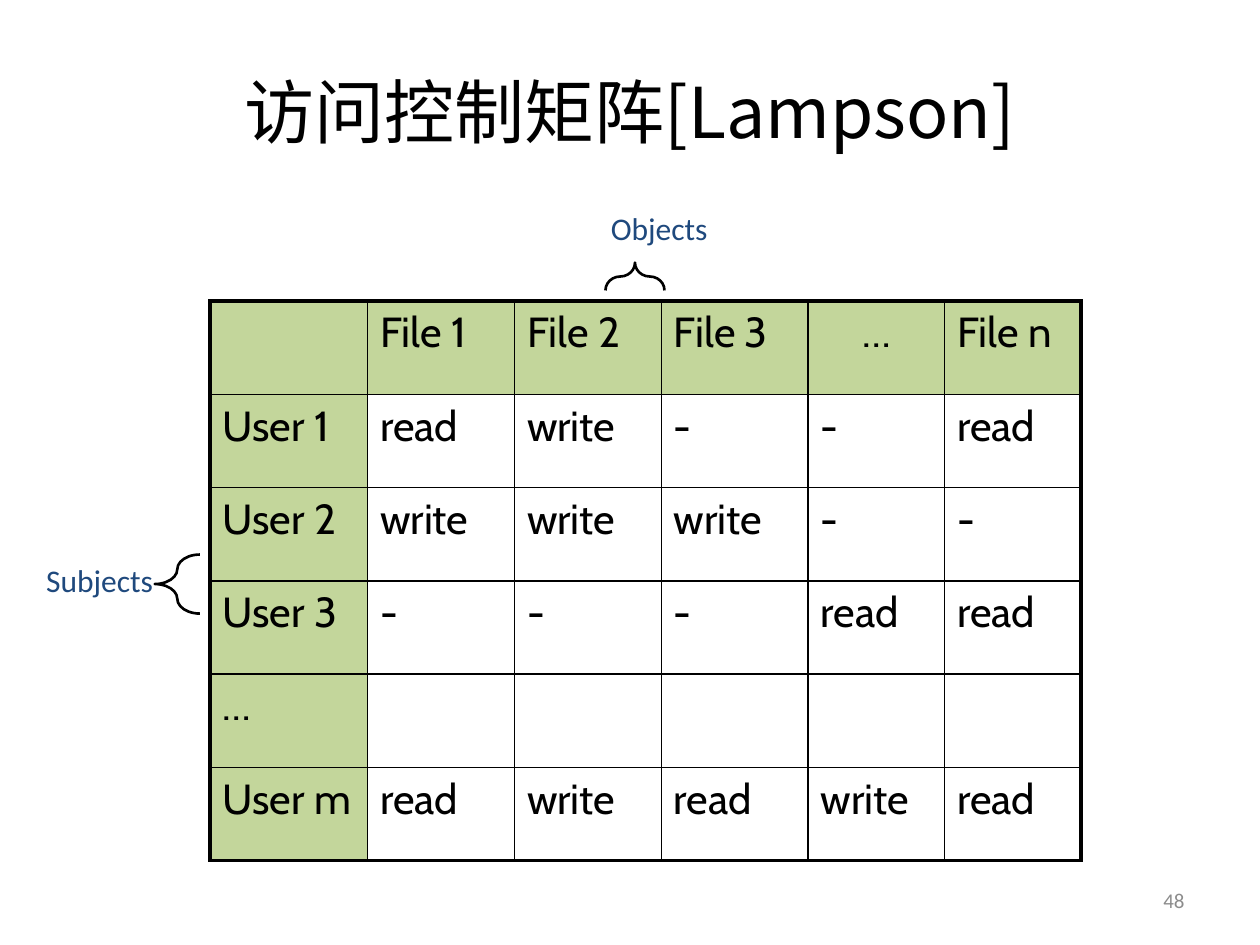
import pptx
import pptx.util
import pptx.dml.color
import pptx.enum.shapes
import pptx.enum.text
import pptx.oxml
import pptx.oxml.ns

Cm = pptx.util.Cm
Pt = pptx.util.Pt
RGBColor = pptx.dml.color.RGBColor
PP_ALIGN = pptx.enum.text.PP_ALIGN
MSO_ANCHOR = pptx.enum.text.MSO_ANCHOR

BLACK = RGBColor(0x00, 0x00, 0x00)
GREEN = RGBColor(0xC3, 0xD6, 0x9B)
BLUE = RGBColor(0x1F, 0x49, 0x7D)
GREY = RGBColor(0x8C, 0x8C, 0x8C)

TITLE = "访问控制矩阵[Lampson]"
TITLE_FONT = "Noto Sans CJK SC"
MATRIX = [
    ["", "File 1", "File 2", "File 3", "…", "File n"],
    ["User 1", "read", "write", "-", "-", "read"],
    ["User 2", "write", "write", "write", "-", "-"],
    ["User 3", "-", "-", "-", "read", "read"],
    ["…", "", "", "", "", ""],
    ["User m", "read", "write", "read", "write", "read"],
]
COL_WIDTHS = [3.18, 2.96, 2.96, 2.96, 2.75, 2.75]
ROW_HEIGHT = 1.88
THIN, THICK = 1, 2.25

# text, left, top, width, height, size, colour, alignment
LABELS = [
    ("Subjects", 0.31, 11.04, 3.4, 1.3, 18, BLUE, PP_ALIGN.CENTER),
    ("Objects", 11.59, 3.95, 3.4, 1.3, 18, BLUE, PP_ALIGN.CENTER),
    ("48", 18.2, 17.65, 5.93, 1.01, 12, GREY, PP_ALIGN.RIGHT),
]
# left, top, width, height, rotation, curve
BRACES = [
    (3.12, 11.18, 0.91, 1.19, 0, 2.22),
    (12.52, 4.98, 0.56, 1.19, 90, 3.46),
]


def style(p, font, size, color, align=PP_ALIGN.LEFT):
    p.alignment = align
    for r in p.runs:
        r.font.name = font
        r.font.size = Pt(size)
        r.font.color.rgb = color


def add_border(cell, side, width):
    tc_pr = cell._tc.get_or_add_tcPr()
    tc_pr.append(pptx.oxml.parse_xml(
        f'<a:ln{side} {pptx.oxml.ns.nsdecls("a")} w="{Pt(width)}">'
        f'<a:solidFill><a:srgbClr val="{BLACK}"/></a:solidFill></a:ln{side}>'))


def add_title(s):
    sp = s.shapes.title
    sp.left, sp.top, sp.width, sp.height = Cm(1.27), Cm(0.64), Cm(22.86), Cm(3.18)
    tf = sp.text_frame
    tf.text = TITLE
    tf.vertical_anchor = MSO_ANCHOR.MIDDLE
    p = tf.paragraphs[0]
    style(p, TITLE_FONT, 40, BLACK, PP_ALIGN.CENTER)
    p.runs[0].font._element.append(pptx.oxml.parse_xml(
        f'<a:ea {pptx.oxml.ns.nsdecls("a")} typeface="{TITLE_FONT}"/>'))


def add_matrix(s):
    n_rows, n_cols = len(MATRIX), len(COL_WIDTHS)
    table = s.shapes.add_table(n_rows, n_cols, Cm(4.23), Cm(6.07),
                               Cm(sum(COL_WIDTHS)), Cm(ROW_HEIGHT * n_rows)).table
    table.first_row = table.horz_banding = False
    for column, width in zip(table.columns, COL_WIDTHS):
        column.width = Cm(width)
    for i, texts in enumerate(MATRIX):
        table.rows[i].height = Cm(ROW_HEIGHT)
        for j, text in enumerate(texts):
            cell = table.cell(i, j)
            edges = {"L": j == 0, "R": j == n_cols - 1,
                     "T": i == 0, "B": i == n_rows - 1}
            for side, outer in edges.items():
                add_border(cell, side, THICK if outer else THIN)
            if i == 0 or j == 0:
                cell.fill.solid()
                cell.fill.fore_color.rgb = GREEN
            else:
                cell.fill.background()
            cell.text_frame.text = text
            centred = i == 0 and text == "…"
            style(cell.text_frame.paragraphs[0], "Cabin", 24, BLACK,
                  PP_ALIGN.CENTER if centred else PP_ALIGN.LEFT)


def add_label(s, text, left, top, width, height, size, color, align):
    sp = s.shapes.add_textbox(Cm(left), Cm(top), Cm(width), Cm(height))
    tf = sp.text_frame
    tf.text = text
    tf.word_wrap = True
    tf.vertical_anchor = MSO_ANCHOR.MIDDLE
    style(tf.paragraphs[0], "Calibri", size, color, align)


def add_brace(s, left, top, width, height, rotation, curve):
    sp = s.shapes.add_shape(pptx.enum.shapes.MSO_SHAPE.LEFT_BRACE,
                            Cm(left), Cm(top), Cm(width), Cm(height))
    sp.rotation = rotation
    sp.adjustments[0] = curve
    sp.adjustments[1] = 0.5
    sp.shadow.inherit = False
    sp.fill.background()
    sp.line.color.rgb = BLACK
    sp.line.width = Pt(1.5)


def main():
    prs = pptx.Presentation()
    prs.slide_width, prs.slide_height = Cm(25.4), Cm(19.05)
    s = prs.slides.add_slide(prs.slide_layouts[5])
    add_title(s)
    add_matrix(s)
    for label in LABELS:
        add_label(s, *label)
    for brace in BRACES:
        add_brace(s, *brace)
    prs.save("out.pptx")


if __name__ == "__main__":
    main()
